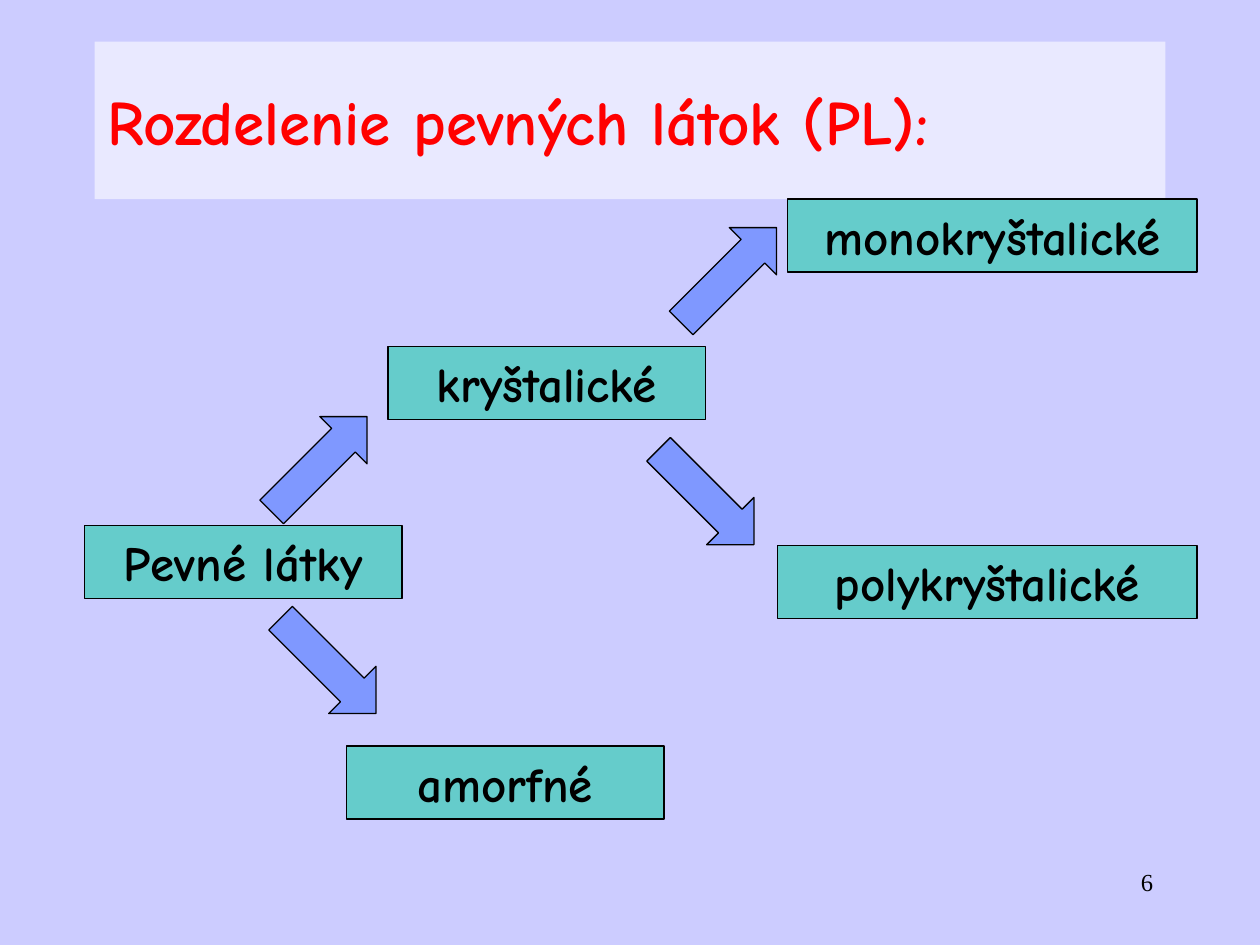
"""Build a slide that sorts solids into crystalline and amorphous kinds."""
from dataclasses import dataclass

from lxml import etree
from pptx import Presentation
from pptx.dml.color import RGBColor
from pptx.enum.shapes import MSO_SHAPE
from pptx.enum.text import MSO_ANCHOR, PP_ALIGN
from pptx.oxml.ns import qn
from pptx.util import Inches, Pt

RECT, ARROW = MSO_SHAPE.RECTANGLE, MSO_SHAPE.RIGHT_ARROW
MIDDLE = MSO_ANCHOR.MIDDLE
LEFT, CENTER, RIGHT = PP_ALIGN.LEFT, PP_ALIGN.CENTER, PP_ALIGN.RIGHT
UP, DOWN = 315, 45


@dataclass(frozen=True)
class Theme:
    """Colours, fonts and sizes of the slide."""
    back: str = "CCCCFF"
    panel: str = "FFFFFF"
    title: str = "FF0000"
    ink: str = "000000"
    box: str = "00CC99"
    arrow: str = "3366FF"
    font: str = "Comic Neue"
    serif: str = "Times New Roman"
    title_pt: int = 36
    box_pt: int = 28
    page_pt: int = 14
    line_pt: float = 0.75


@dataclass(frozen=True)
class Box:
    """A labelled class of solids."""
    text: str
    left: float
    top: float
    width: float = 2.52
    height: float = 0.58


@dataclass(frozen=True)
class Arrow:
    """A block arrow turned to point up or down."""
    left: float
    top: float
    turn: int
    width: float = 1.07
    height: float = 0.53


THEME = Theme()
BOXES = (
    Box("Pevné látky", 0.67, 4.17),
    Box("kryštalické", 3.08, 2.75),
    Box("amorfné", 2.75, 5.92),
    Box("polykryštalické", 6.17, 4.33, 3.33),
    Box("monokryštalické", 6.25, 1.58, 3.25),
)
ARROWS = (
    Arrow(2, 3.42, UP),
    Arrow(5.25, 1.92, UP),
    Arrow(2.07, 5.02, DOWN),
    Arrow(5.07, 3.68, DOWN),
)


def write(shape, text: str, *, size: int, color: str = THEME.ink,
          font: str = THEME.font, bold: bool = True, align=CENTER) -> None:
    """Put formatted text into a shape."""
    frame = shape.text_frame
    frame.word_wrap = True
    para = frame.paragraphs[0]
    para.alignment = align
    run = para.add_run()
    run.text = text
    run.font.size, run.font.name, run.font.bold = Pt(size), font, bold
    run.font.color.rgb = RGBColor.from_string(color)


def paint(shape, color: str, alpha: int) -> None:
    """Fill a shape with a colour of the given opacity in percent."""
    shape.fill.solid()
    shape.fill.fore_color.rgb = RGBColor.from_string(color)
    tone = shape._element.spPr.find(qn("a:solidFill")).find(qn("a:srgbClr"))
    etree.SubElement(tone, qn("a:alpha"), val=str(alpha * 1000))


def draw(slide, kind, item: Box | Arrow, color: str):
    """Add an outlined, half clear shape."""
    shape = slide.shapes.add_shape(
        kind, Inches(item.left), Inches(item.top),
        Inches(item.width), Inches(item.height))
    shape.shadow.inherit = False
    paint(shape, color, 50)
    shape.line.color.rgb = RGBColor.from_string(THEME.ink)
    shape.line.width = Pt(THEME.line_pt)
    return shape


def main() -> None:
    """Build and save the slide."""
    deck = Presentation()
    deck.slide_width, deck.slide_height = Inches(10), Inches(7.5)
    slide = deck.slides.add_slide(deck.slide_layouts[5])
    slide.background.fill.solid()
    slide.background.fill.fore_color.rgb = RGBColor.from_string(THEME.back)

    title = slide.shapes.title
    title.left, title.top = Inches(0.75), Inches(0.33)
    title.width, title.height = Inches(8.5), Inches(1.25)
    title.text_frame.vertical_anchor = MIDDLE
    paint(title, THEME.panel, 57)
    write(title, "Rozdelenie pevných látok (PL):", size=THEME.title_pt,
          color=THEME.title, align=LEFT)

    page = slide.shapes.add_textbox(
        Inches(7.17), Inches(6.83), Inches(2.08), Inches(0.5))
    write(page, "6", size=THEME.page_pt, font=THEME.serif, bold=False,
          align=RIGHT)

    for box in BOXES:
        write(draw(slide, RECT, box, THEME.box), box.text, size=THEME.box_pt)
    for arrow in ARROWS:
        draw(slide, ARROW, arrow, THEME.arrow).rotation = arrow.turn

    deck.save("out.pptx")


if __name__ == "__main__":
    main()
